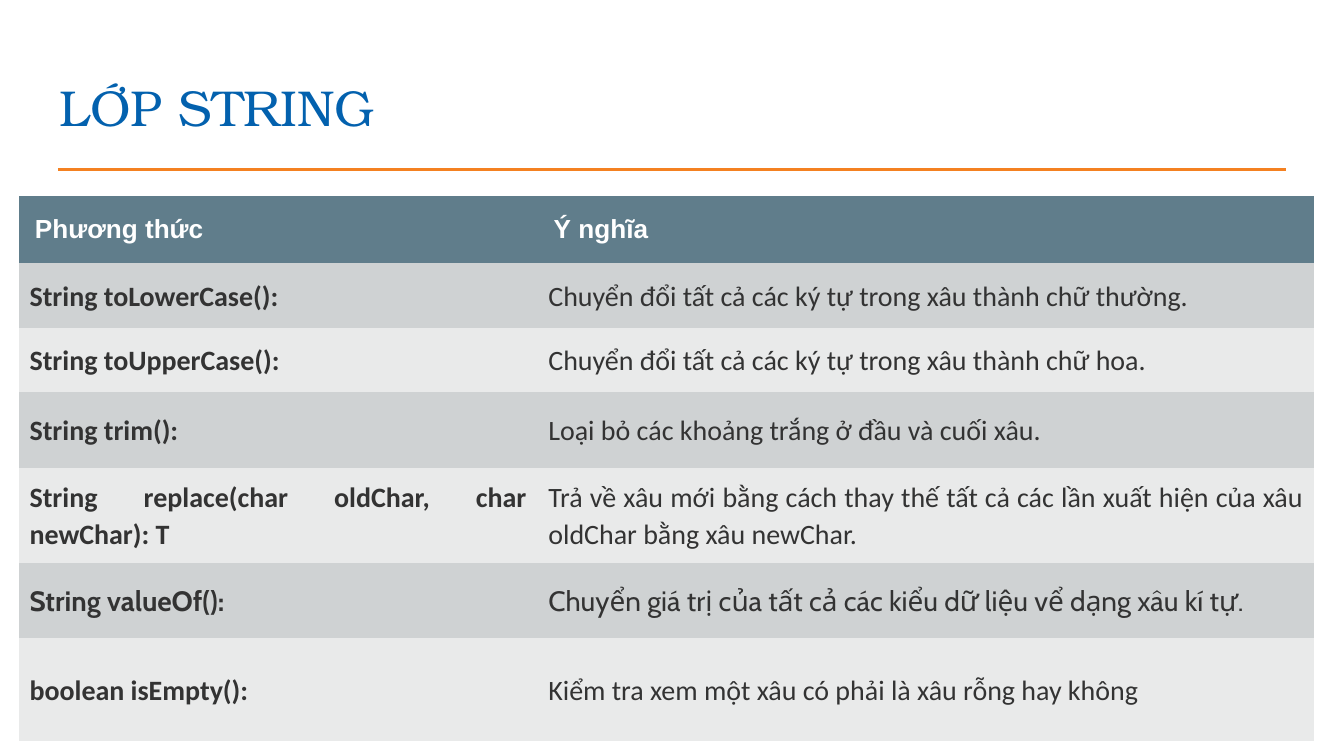
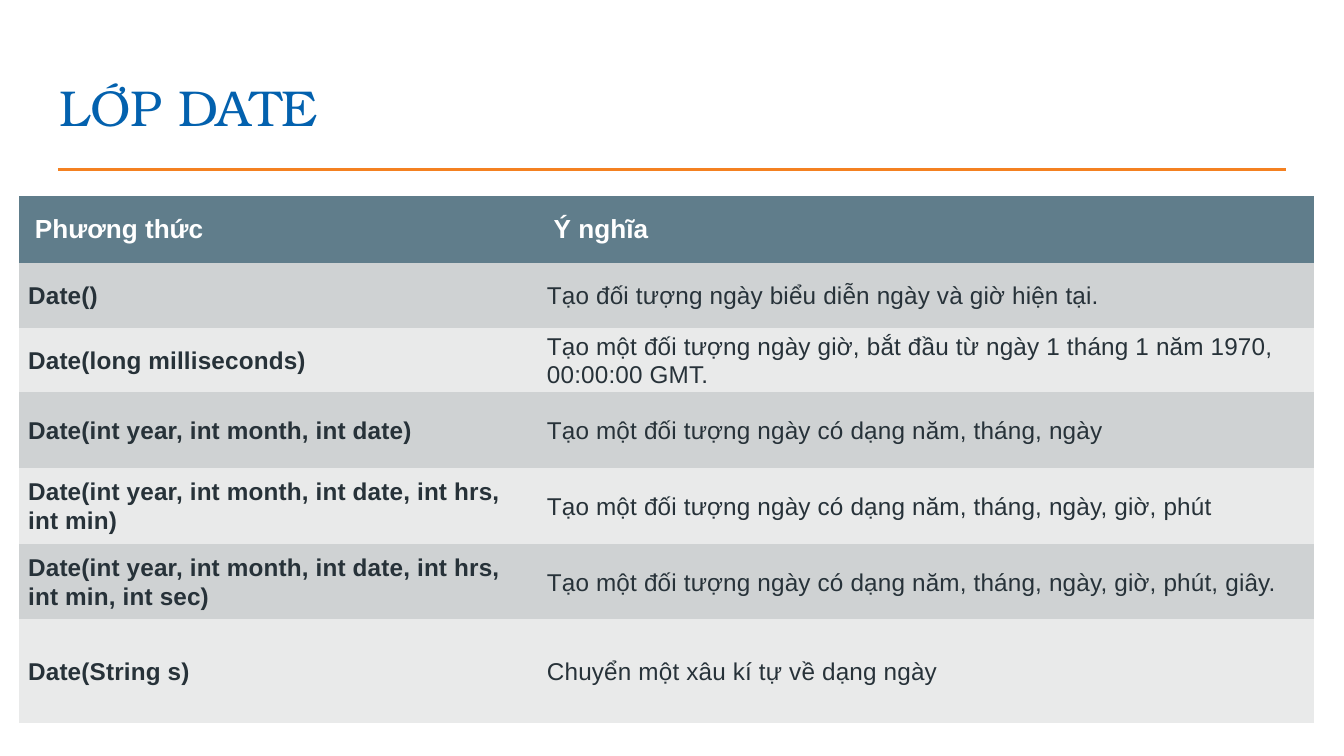
from lxml import etree
from pptx import Presentation, util as u
from pptx.dml.color import RGBColor
from pptx.enum import shapes, text
from pptx.oxml.ns import qn

BLUE, ORANGE, SLATE, WHITE = "0361AE", "F48121", "607D8B", "FFFFFF"
BANDS = ["CFD2D3", "E9EAEA"]
COLS = [3.86, 5.78]
ROWS = [0.5, 0.48, 0.48, 0.56, 0.57, 0.56, 0.77]
HEAD = ("Phương thức", "Ý nghĩa")
PLAIN = "{2D5ABB26-0587-4C30-8999-92F81FD0307C}"


def paint(item, tone):
    if hasattr(item, "solid"):
        item.solid()
        item.fore_color.rgb = RGBColor.from_string(tone)
    else:
        item.rgb = RGBColor.from_string(tone)


def write(frame, words, face, size, tone, bold=False):
    para = frame.paragraphs[0]
    run = para.add_run()
    run.text = words
    run.font.name = face
    run.font.size = u.Pt(size)
    run.font.bold = bold
    paint(run.font.color, tone)
    return para, run


pages = [
    {
        "title": "LỚP STRING",
        "size": 15, "tone": "333333", "pad": (0.08, 0.08),
        "align": text.PP_ALIGN.JUSTIFY, "after": 8, "space": 0,
        "rows": [
            ("Calibri", "String toLowerCase(): ",
             "Chuyển đổi tất cả các ký tự trong xâu thành chữ thường."),
            ("Calibri", "String toUpperCase(): ",
             "Chuyển đổi tất cả các ký tự trong xâu thành chữ hoa."),
            ("Calibri", "String trim(): ",
             "Loại bỏ các khoảng trắng ở đầu và cuối xâu."),
            ("Calibri", "String replace(char oldChar, char newChar): T",
             "Trả về xâu mới bằng cách thay thế tất cả các lần xuất hiện "
             "của xâu oldChar bằng xâu newChar."),
            ("Cabin", "String valueOf(): ",
             "Chuyển giá trị của tất cả các kiểu dữ liệu vể dạng xâu kí tự. "),
            ("Calibri", "boolean isEmpty(): ",
             "Kiểm tra xem một xâu có phải là xâu rỗng hay không"),
        ],
    },
    {
        "title": "LỚP DATE",
        "size": 13, "tone": "273239", "pad": (0.07, 0),
        "align": text.PP_ALIGN.LEFT, "after": 0, "space": 10,
        "rows": [
            ("Arial", "Date()",
             "Tạo đối tượng ngày biểu diễn ngày và giờ hiện tại."),
            ("Arial", "Date(long milliseconds)",
             "Tạo một đối tượng ngày giờ, bắt đầu từ ngày 1 tháng 1 năm 1970, "
             "00:00:00 GMT."),
            ("Arial", "Date(int year, int month, int date)",
             "Tạo một đối tượng ngày có dạng năm, tháng, ngày"),
            ("Arial", "Date(int year, int month, int date, int hrs, int min)",
             "Tạo một đối tượng ngày có dạng năm, tháng, ngày, giờ, phút"),
            ("Arial", "Date(int year, int month, int date, int hrs, int min, int sec)",
             "Tạo một đối tượng ngày có dạng năm, tháng, ngày, giờ, phút, giây."),
            ("Arial", "Date(String s)",
             "Chuyển một xâu kí tự về dạng ngày"),
        ],
    },
]

deck = Presentation()
deck.slide_width = u.Inches(10)
deck.slide_height = u.Inches(10 * 9 / 16)

for page in pages:
    slide = deck.slides.add_slide(deck.slide_layouts[5])

    title = slide.shapes.title
    title.left, title.top = u.Inches(0.34), u.Inches(0.49)
    title.width, title.height = u.Inches(9.32), u.Inches(0.63)
    frame = title.text_frame
    frame.word_wrap = True
    frame.auto_size = text.MSO_AUTO_SIZE.NONE
    frame.vertical_anchor = text.MSO_ANCHOR.BOTTOM
    frame.margin_left = frame.margin_right = u.Inches(0.1)
    frame.margin_top = frame.margin_bottom = u.Inches(0.1)
    para, run = write(frame, page["title"], "TeX Gyre Bonum", 27, BLUE)
    para.alignment = text.PP_ALIGN.LEFT

    rule = slide.shapes.add_connector(
        shapes.MSO_CONNECTOR.STRAIGHT,
        u.Inches(0.43), u.Inches(1.26), u.Inches(9.57), u.Inches(1.26))
    paint(rule.line.fill, ORANGE)
    rule.line.width = u.Pt(1.5)
    etree.SubElement(rule._element.spPr, qn("a:effectLst"))

    holder = slide.shapes.add_table(
        len(ROWS), len(COLS), u.Inches(0.14), u.Inches(1.46),
        u.Inches(sum(COLS)), u.Inches(sum(ROWS)))
    next(holder._element.iter(qn("a:tableStyleId"))).text = PLAIN
    table = holder.table
    for col, width in zip(table.columns, COLS):
        col.width = u.Inches(width)
    for row, height in zip(table.rows, ROWS):
        row.height = u.Inches(height)

    for i, (face, *words) in enumerate([("Arial", *HEAD)] + page["rows"]):
        head = i == 0
        side, edge = (0.12, 0.12) if head else page["pad"]
        for j, word in enumerate(words):
            cell = table.cell(i, j)
            paint(cell.fill, SLATE if head else BANDS[(i - 1) % 2])
            cell.margin_left = cell.margin_right = u.Inches(side)
            cell.margin_top = cell.margin_bottom = u.Inches(edge)
            if head:
                para, run = write(cell.text_frame, word, face, 14, WHITE, True)
            else:
                cell.vertical_anchor = text.MSO_ANCHOR.MIDDLE
                para, run = write(cell.text_frame, word, face,
                                  page["size"], page["tone"], j == 0)
                para.alignment = page["align"]
                para.space_after = u.Pt(page["after"])
                run.font._element.set("spc", str(page["space"]))
            para.line_spacing = 1.07

deck.save("out.pptx")
